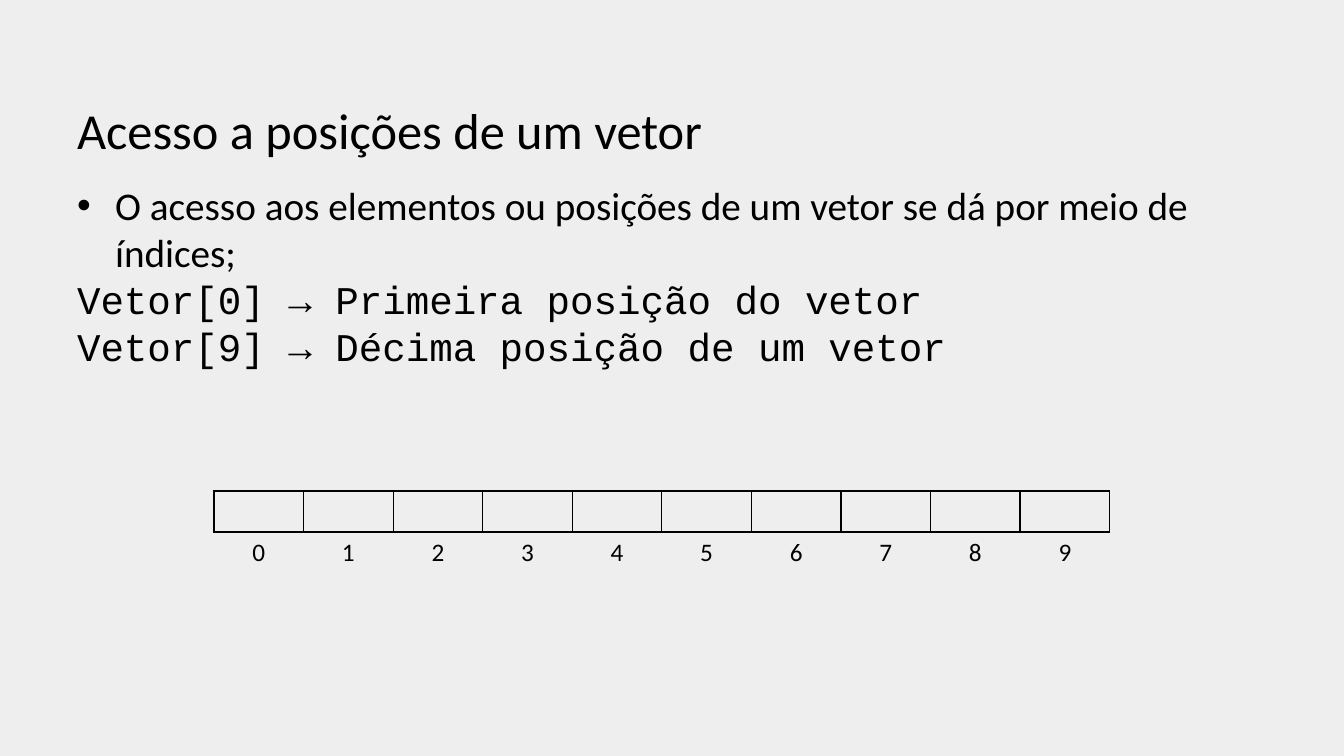
import pptx
import pptx.dml.color
import pptx.enum.text
import pptx.oxml
import pptx.oxml.ns
import pptx.util

BLACK = pptx.dml.color.RGBColor(0x00, 0x00, 0x00)
BACKGROUND = pptx.dml.color.RGBColor(0xEE, 0xEE, 0xEE)
EMU_PER_PX = 12192000 / 1344
POSITIONS = 10
LEFT_ALIGN = pptx.enum.text.PP_ALIGN.LEFT
CENTER = pptx.enum.text.PP_ALIGN.CENTER


def px(length):
    return pptx.util.Emu(round(length * EMU_PER_PX))


def format_paragraph(para, face, size, alignment):
    para.font.name = face
    para.font.size = pptx.util.Pt(size)
    para.font.color.rgb = BLACK
    para.alignment = alignment
    para.space_before = pptx.util.Pt(0)


deck = pptx.Presentation()
deck.slide_width, deck.slide_height = px(1344), px(756)
page = deck.slides.add_slide(deck.slide_layouts[1])
page.background.fill.solid()
page.background.fill.fore_color.rgb = BACKGROUND

title, body = page.placeholders
for box, top, height in ((title, 39, 126), (body, 176, 499)):
    box.left, box.top, box.width, box.height = px(67), px(top), px(1210), px(height)
    box.text_frame.word_wrap = True
    box.text_frame.auto_size = pptx.enum.text.MSO_AUTO_SIZE.NONE

title.text_frame.text = "Acesso a posições de um vetor"
title.text_frame.vertical_anchor = pptx.enum.text.MSO_ANCHOR.BOTTOM
format_paragraph(title.text_frame.paragraphs[0], "Calibri", 36, LEFT_ALIGN)

body.text_frame.text = "\n".join((
    "O acesso aos elementos ou posições de um vetor se dá por meio de índices;",
    "Vetor[0] → Primeira posição do vetor",
    "Vetor[9] → Décima posição de um vetor",
))
bullet_para, *code_paras = body.text_frame.paragraphs
format_paragraph(bullet_para, "Calibri", 28, LEFT_ALIGN)
bullet_properties = bullet_para._p.get_or_add_pPr()
bullet_properties.set("marL", str(px(38)))
bullet_properties.set("indent", str(px(-38)))
for para in code_paras:
    format_paragraph(para, "Courier New", 28, LEFT_ALIGN)
    properties = para._p.get_or_add_pPr()
    properties.set("marL", "0")
    properties.set("indent", "0")
    properties.append(pptx.oxml.parse_xml(f"<a:buNone {pptx.oxml.ns.nsdecls('a')}/>"))

vector = page.shapes.add_table(2, POSITIONS, px(214), px(491), px(896), px(82)).table
vector.first_row = False
vector.horz_banding = False
BLACK_LINE = '<a:solidFill><a:srgbClr val="000000"/></a:solidFill>'
for row, visible_sides in enumerate(("LRTB", "T")):
    for column in range(POSITIONS):
        cell = vector.cell(row, column)
        cell_properties = cell._tc.get_or_add_tcPr()
        for side in "LRTB":
            line = BLACK_LINE if side in visible_sides else "<a:noFill/>"
            cell_properties.append(pptx.oxml.parse_xml(
                f'<a:ln{side} {pptx.oxml.ns.nsdecls("a")} w="12700">{line}</a:ln{side}>'))
        cell.fill.background()
        if row == 1:
            cell.text = str(column)
            format_paragraph(cell.text_frame.paragraphs[0], "Calibri", 18, CENTER)

deck.save("out.pptx")
